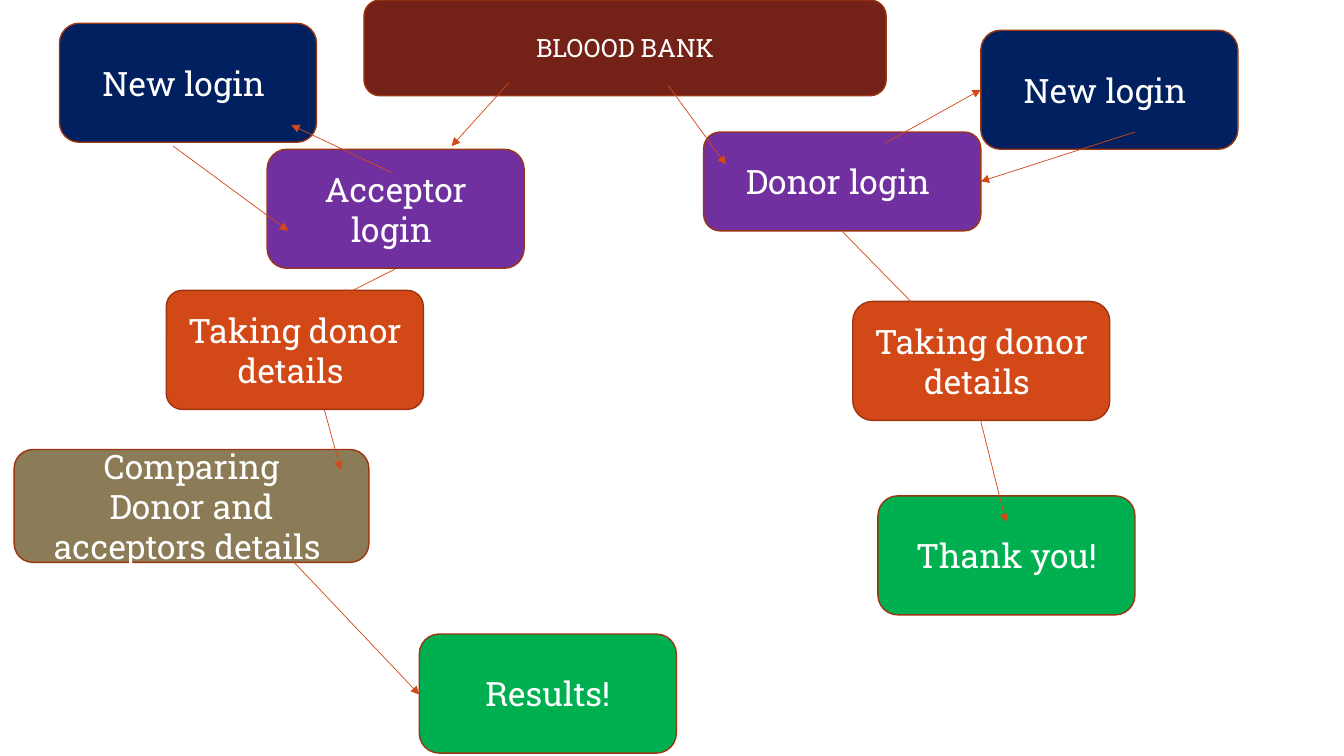
from lxml import etree
from pptx import Presentation
from pptx.dml.color import RGBColor
from pptx.enum import shapes, text
from pptx.oxml.ns import qn
from pptx.util import Pt

FONT = "Roboto Slab"
COLORS = {
    "bank": "742217", "login": "7030A0", "new": "002060", "details": "D34817",
    "compare": "8B7B57", "finish": "00B050",
    "outline": "9C3511", "arrow": "D34817", "text": "FFFFFF",
}
STEP_SIZE = (183.6, 85)

# Steps: paragraphs, color, (left, top), (width, height), font size
STEPS = [
    (["BLOOOD BANK"], "bank", (260, 0), (373, 68.4), 18),
    (["Donor login "], "login", (502.6, 94.3), (198, 70.6), 24),
    (["Acceptor login "], "login", (190.8, 106.6), STEP_SIZE, 24),
    (["New login "], "new", (42.5, 16.6), STEP_SIZE, 24),
    (["Results!"], "finish", (299.5, 452.9), STEP_SIZE, 24),
    (["New login "], "new", (700.6, 21.6), STEP_SIZE, 24),
    (["Taking donor details "], "details", (609.1, 215.3), STEP_SIZE, 24),
    (["Taking donor details "], "details", (118.8, 207.4), STEP_SIZE, 24),
    (["Thank you!"], "finish", (627.1, 354.2), STEP_SIZE, 24),
    (["Comparing", "Donor and acceptors details "], "compare",
     (10.1, 321.1), (253.4, 80.6), 24),
]

# Arrows: (start x, start y), (end x, end y)
ARROWS = [
    ((477.4, 61.2), (518.4, 117.4)),    # bank to donor login
    ((363.6, 59), (322.6, 104.4)),      # bank to acceptor login
    ((632.2, 102.2), (700.6, 64.1)),    # donor login to new login
    ((700.6, 301), (718.6, 373)),       # donor details to thank you
    ((601.2, 164.9), (670.3, 235.4)),   # donor login to details
    ((810.7, 94.3), (700.6, 129.6)),    # new login to donor login
    ((123.8, 104.4), (205.9, 164.9)),   # new login to acceptor login
    ((279.4, 123.1), (208.1, 89.3)),    # acceptor login to new login
    ((282.2, 192.2), (243.4, 211.7)),   # acceptor login to details
    ((210.2, 401.8), (299.5, 496.1)),   # comparison to results
    ((231.8, 293), (243.4, 335.5)),     # details to comparison
]


def color(name):
    return RGBColor.from_string(COLORS[name])


def add_step(page, lines, fill, position, size, font_size):
    box = page.shapes.add_shape(shapes.MSO_SHAPE.ROUNDED_RECTANGLE,
                                *map(Pt, position + size))
    box.shadow.inherit = False
    box.fill.solid()
    box.fill.fore_color.rgb = color(fill)
    box.line.color.rgb = color("outline")
    box.line.width = Pt(1)
    frame = box.text_frame
    frame.word_wrap = True
    frame.vertical_anchor = text.MSO_ANCHOR.MIDDLE
    frame.text = "\n".join(lines)
    for para in frame.paragraphs:
        para.alignment = text.PP_ALIGN.CENTER
        para.font.name = FONT
        para.font.size = Pt(font_size)
        para.font.color.rgb = color("text")
    return box


def add_arrow(page, start, end):
    arrow = page.shapes.add_connector(shapes.MSO_CONNECTOR.STRAIGHT,
                                      *map(Pt, start + end))
    arrow.line.color.rgb = color("arrow")
    arrow.line.width = Pt(0.5)
    # Arrowhead at the end, and no shadow
    etree.SubElement(arrow.line._get_or_add_ln(), qn("a:tailEnd"), type="triangle")
    etree.SubElement(arrow._element.spPr, qn("a:effectLst"))


def main():
    deck = Presentation()
    deck.slide_width, deck.slide_height = Pt(960), Pt(540)
    page = deck.slides.add_slide(deck.slide_layouts[6])

    # Flow chart: boxes first, arrows on top
    boxes = [add_step(page, *step) for step in STEPS]
    boxes[7].adjustments[0] = 0.134  # tighter corners on the left details box
    for start, end in ARROWS:
        add_arrow(page, start, end)

    deck.save("out.pptx")


if __name__ == "__main__":
    main()
